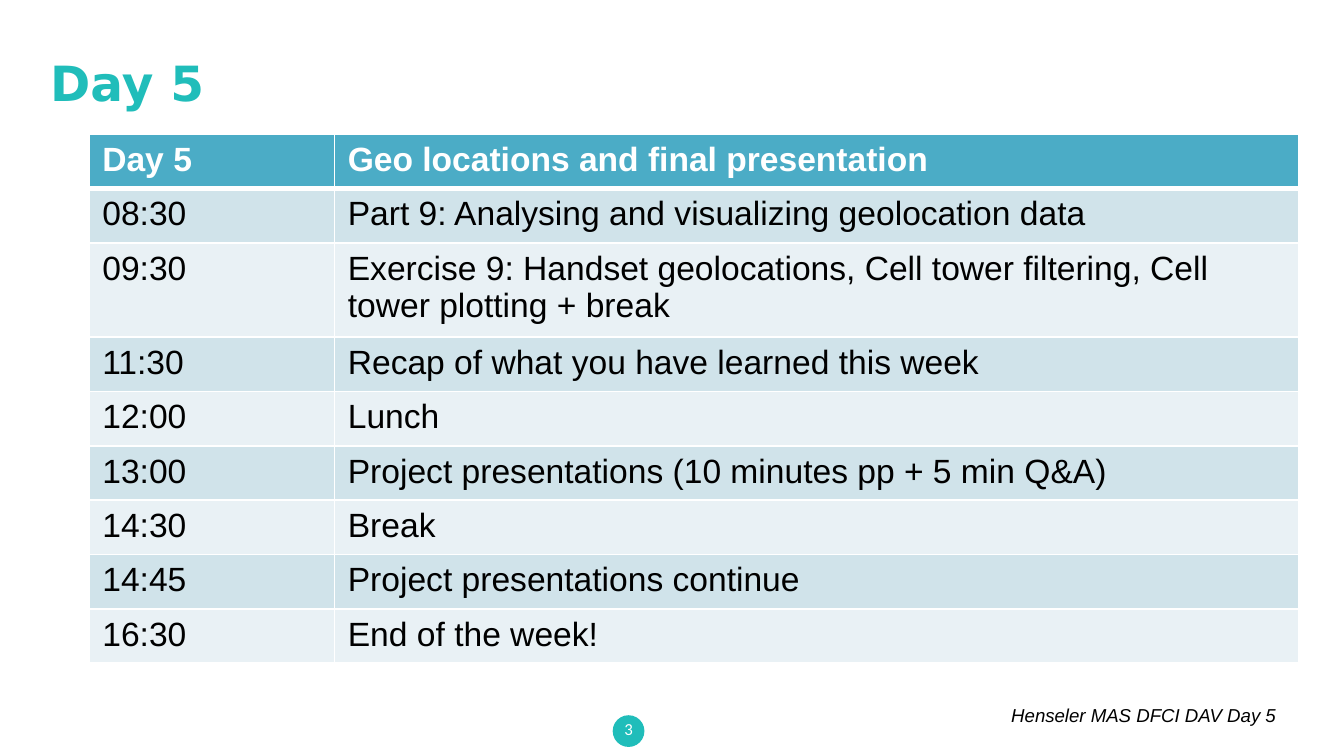
import pptx
import pptx.util
import pptx.dml.color
import pptx.enum.shapes
import pptx.enum.text
import pptx.oxml
import pptx.oxml.ns
from dataclasses import dataclass

Cm = pptx.util.Cm
Align = pptx.enum.text.PP_ALIGN
Anchor = pptx.enum.text.MSO_ANCHOR


@dataclass(frozen=True)
class Theme:
    """Hold the colours, fonts and type sizes of the slide."""
    teal: str = "20BDBA"
    head: str = "4BACC6"
    bands: tuple = ("D0E3EA", "E9F1F5")
    white: str = "FFFFFF"
    black: str = "000000"
    title: int = 26
    body: int = 18
    foot: int = 10
    page: int = 9


THEME = Theme()
ROWS = [
    ("Day 5", "Geo locations and final presentation"),
    ("08:30", "Part 9: Analysing and visualizing geolocation data"),
    ("09:30", "Exercise 9: Handset geolocations, Cell tower filtering, "
              "Cell tower plotting + break"),
    ("11:30", "Recap of what you have learned this week"),
    ("12:00", "Lunch"),
    ("13:00", "Project presentations (10 minutes pp + 5 min Q&A)"),
    ("14:30", "Break"),
    ("14:45", "Project presentations continue"),
    ("16:30", "End of the week!"),
]


def rgb(code):
    """Turn a hex code into a colour."""
    return pptx.dml.color.RGBColor.from_string(code)


def style(para, size, color, **form):
    """Set the font of a paragraph from format values."""
    font = para.font
    font.color.rgb = rgb(color)
    values = {"name": "Arial", "size": pptx.util.Pt(size), **form}
    for key, value in values.items():
        setattr(font, key, value)


def label(slide, box, text, size, color, align, anchor, **form):
    """Place one line of text in a box."""
    frame = slide.shapes.add_textbox(*map(Cm, box)).text_frame
    frame.word_wrap = True
    frame.vertical_anchor = anchor
    para = frame.paragraphs[0]
    para.text = text
    para.alignment = align
    style(para, size, color, **form)


def edge(cell, widths):
    """Draw white borders of the given point widths around a cell."""
    props = cell._tc.get_or_add_tcPr()
    for spot, (side, width) in enumerate(widths.items()):
        line = pptx.oxml.parse_xml(
            f'<a:ln{side} {pptx.oxml.ns.nsdecls("a")} w="{pptx.util.Pt(width)}">'
            f'<a:solidFill><a:srgbClr val="{THEME.white}"/></a:solidFill>'
            f'</a:ln{side}>')
        props.insert(spot, line)


def title(slide, box):
    """Place the slide title."""
    label(slide, box, "Day 5", THEME.title, THEME.teal, Align.LEFT,
          Anchor.MIDDLE, name="DejaVu Sans", bold=True)


def agenda(slide, box):
    """Place the timetable, with a taller row for the wrapped entry."""
    left, top, width, height = box
    table = slide.shapes.add_table(len(ROWS), 2, *map(Cm, box)).table
    table.first_row = table.horz_banding = False
    first, tall = 4.64, 1.78
    low = (height - tall) / (len(ROWS) - 1)
    for col, size in zip(table.columns, (first, width - first)):
        col.width = Cm(size)
    for i, texts in enumerate(ROWS):
        table.rows[i].height = Cm(tall if i == 2 else low)
        top_row = i == 0
        for j, text in enumerate(texts):
            cell = table.cell(i, j)
            cell.text = text
            cell.fill.solid()
            cell.fill.fore_color.rgb = rgb(
                THEME.head if top_row else THEME.bands[(i - 1) % 2])
            edge(cell, {"L": 1, "R": 1, "T": 3 if i == 1 else 1,
                        "B": 3 if top_row else 1})
            style(cell.text_frame.paragraphs[0], THEME.body,
                  THEME.white if top_row else THEME.black, bold=top_row)


def page(slide, box):
    """Place the page number on its disc."""
    left, top, width, height = box
    disc = 0.6
    dot = slide.shapes.add_shape(
        pptx.enum.shapes.MSO_SHAPE.OVAL, Cm(left + (width - disc) / 2),
        Cm(top + 0.13), Cm(disc), Cm(disc))
    dot.shadow.inherit = False
    dot.fill.solid()
    dot.fill.fore_color.rgb = rgb(THEME.teal)
    dot.line.fill.background()
    label(slide, box, "3", THEME.page, THEME.white, Align.CENTER,
          Anchor.MIDDLE, name="Calibri")


def footer(slide, box):
    """Place the footer line."""
    label(slide, box, "Henseler MAS DFCI DAV Day 5", THEME.foot,
          THEME.black, Align.RIGHT, Anchor.TOP, italic=True)


def main():
    """Build the slide and save it."""
    deck = pptx.Presentation()
    deck.slide_width, deck.slide_height = Cm(25.4), Cm(14.29)
    slide = deck.slides.add_slide(deck.slide_layouts[6])
    page(slide, (11.32, 13.39, 1.12, 0.76))
    footer(slide, (12.85, 13.18, 11.51, 0.69))
    agenda(slide, (1.68, 2.54, 22.86, 10))
    title(slide, (0.7, 0.56, 22.86, 1.98))
    deck.save("out.pptx")


if __name__ == "__main__":
    main()
